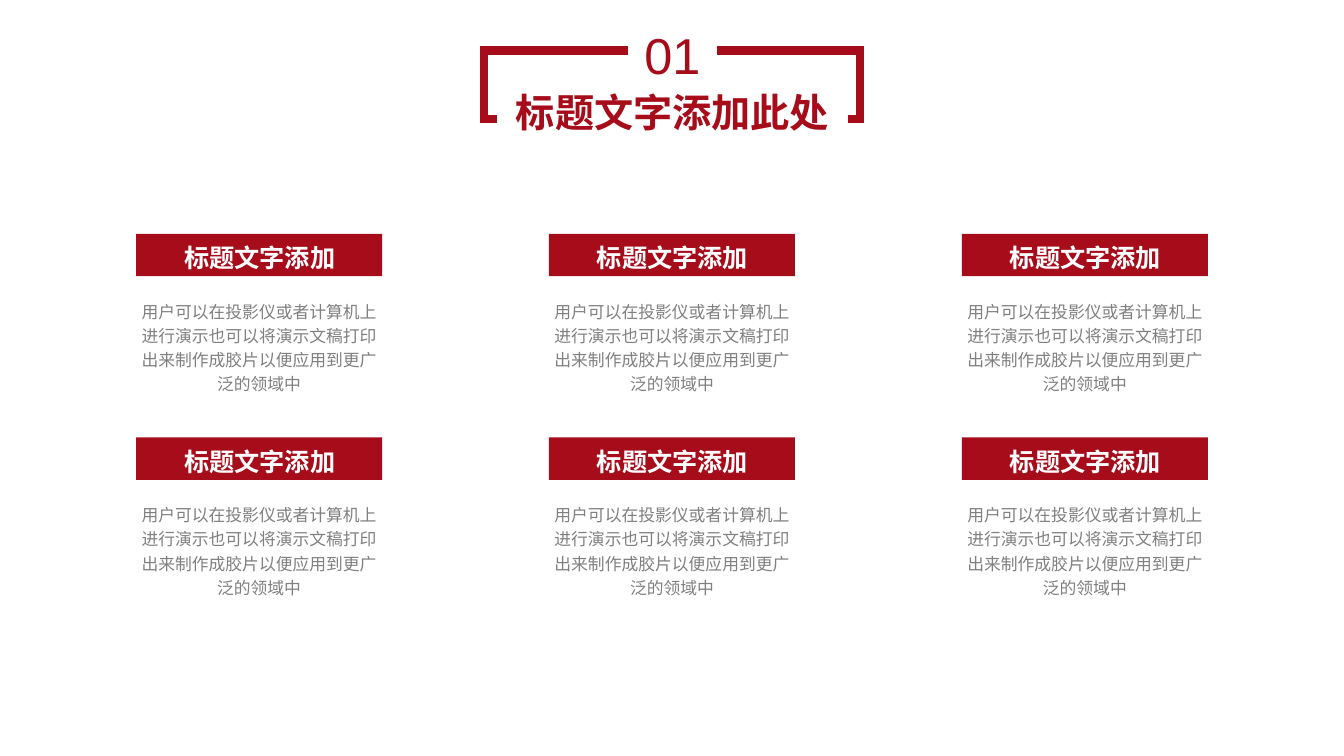
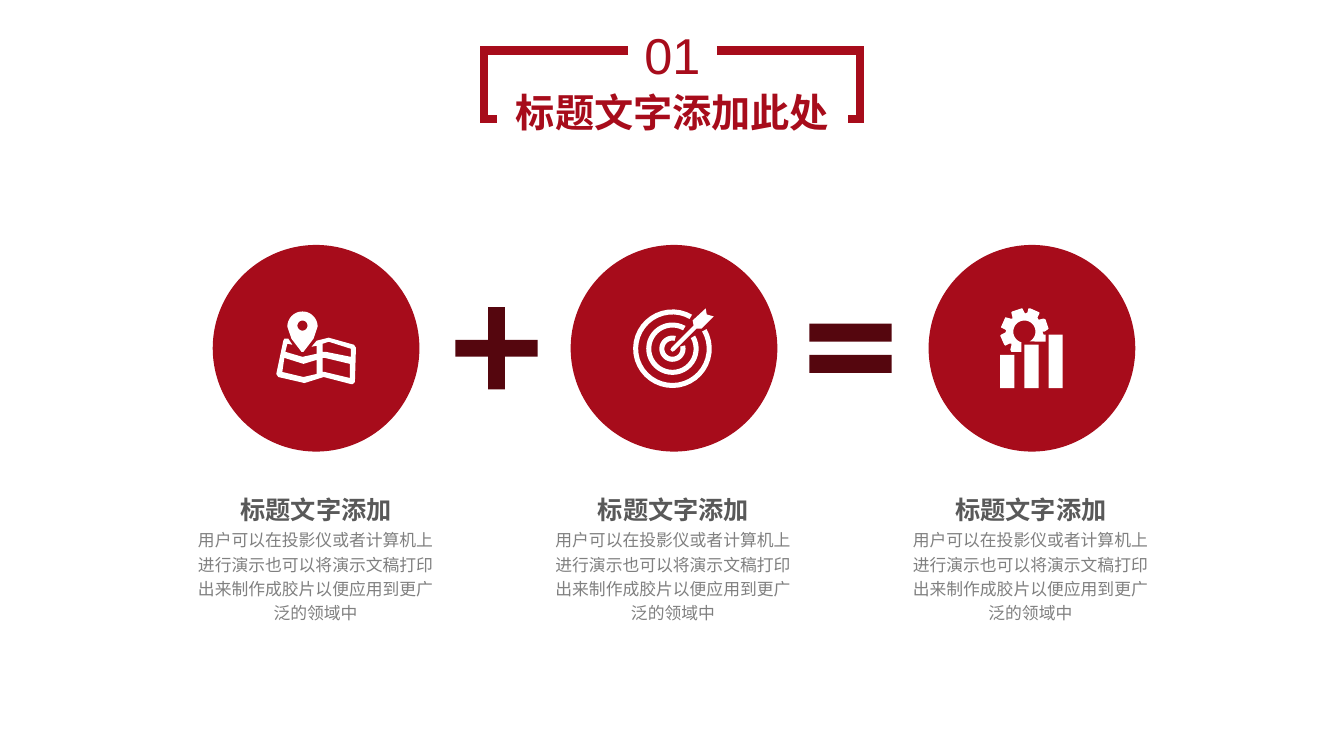
from dataclasses import dataclass
from math import cos, radians, sin

from lxml.etree import SubElement
from pptx import Presentation
from pptx.dml.color import RGBColor
from pptx.enum.shapes import MSO_SHAPE as Shape
from pptx.enum.text import MSO_ANCHOR as Anchor, MSO_AUTO_SIZE as AutoSize, PP_ALIGN as Align
from pptx.oxml.ns import qn
from pptx.util import Emu, Pt

EMU_PER_PX = 9144  # 100 px to the inch
WIDTH, HEIGHT = 1333, 750


@dataclass(frozen=True)
class Theme:
    red: str = "A70C1B"
    dark_red: str = "55060E"
    white: str = "FFFFFF"
    heading_gray: str = "595959"
    body_gray: str = "808080"
    latin: str = "Arial"
    cjk: str = "Noto Sans CJK SC"
    number_size: int = 36
    title_size: int = 28
    heading_size: int = 18
    body_size: int = 12
    frame_width: int = 6


THEME = Theme()
NUMBER = "01"
TITLE = "标题文字添加此处"
HEADING = "标题文字添加"
BODY = "用户可以在投影仪或者计算机上进行演示也可以将演示文稿打印出来制作成胶片以便应用到更广泛的领域中"


def px(length):
    return Emu(round(length * EMU_PER_PX))


def spread(first, last, count=3):
    """Equally spaced positions from first to last."""
    return [first + (last - first) * i / (count - 1) for i in range(count)]


def paint(shape, color):
    shape.shadow.inherit = False
    shape.fill.solid()
    shape.fill.fore_color.rgb = RGBColor.from_string(color)
    shape.line.fill.background()


def add_figure(page, preset, left, top, width, height, color):
    figure = page.shapes.add_shape(preset, px(left), px(top), px(width), px(height))
    paint(figure, color)
    return figure


def write(box, text, *, size, color, font=THEME.cjk, bold=False, spacing=1.0,
          anchor=Anchor.TOP, auto_size=AutoSize.SHAPE_TO_FIT_TEXT):
    frame = box.text_frame
    frame.word_wrap = True
    frame.auto_size = auto_size
    frame.vertical_anchor = anchor
    para = frame.paragraphs[0]
    para.alignment = Align.CENTER
    para.line_spacing = spacing
    span = para.add_run()
    span.text = text
    span.font.size = Pt(size)
    span.font.bold = bold
    span.font.color.rgb = RGBColor.from_string(color)
    span.font.name = font
    SubElement(span.font._element, qn("a:ea")).set("typeface", THEME.cjk)


def add_text(page, text, left, top, width, height, **style):
    box = page.shapes.add_textbox(px(left), px(top), px(width), px(height))
    write(box, text, **style)


def add_caption(page, left, heading_top, body_top, heading_color):
    add_text(page, BODY, left - 12, body_top, 268, 105,
             size=THEME.body_size, color=THEME.body_gray, spacing=1.2)
    add_text(page, HEADING, left, heading_top, 245, 43,
             size=THEME.heading_size, color=heading_color, bold=True, spacing=1.2)


def add_outline(page, contours, close=True):
    builder = None
    for contour in contours:
        start, *rest = [(px(x), px(y)) for x, y in contour]
        if builder is None:
            builder = page.shapes.build_freeform(*start)
        else:
            builder.move_to(*start)
        builder.add_line_segments(rest, close=close)
    return builder.convert_to_shape()


def add_title_frame(page):
    """Draw two brackets that leave room for the number and the title."""
    left, top, right, bottom = 480, 50, 853, 118
    brackets = [[(gap_top, top), (side, top), (side, bottom), (gap_bottom, bottom)]
                for gap_top, side, gap_bottom in ((623, left, 493), (711, right, 841))]
    frame = add_outline(page, brackets, close=False)
    frame.shadow.inherit = False
    frame.fill.background()
    frame.line.color.rgb = RGBColor.from_string(THEME.red)
    frame.line.width = Pt(THEME.frame_width)
    line = frame.element.spPr.find(qn("a:ln"))
    SubElement(line, qn("a:miter")).set("lim", "800000")


def add_titled_page(deck):
    """Add a page with the numbered, framed title."""
    page = deck.slides.add_slide(deck.slide_layouts[5])
    title = page.shapes.title
    title.left, title.top, title.width, title.height = map(px, (493, 82, 348, 57))
    write(title, TITLE, size=THEME.title_size, color=THEME.red, font=THEME.latin,
          bold=True, anchor=Anchor.MIDDLE, auto_size=AutoSize.NONE)
    add_title_frame(page)
    add_text(page, NUMBER, 623, 18, 88, 71, size=THEME.number_size, color=THEME.red,
             font=THEME.latin, anchor=Anchor.MIDDLE)
    return page


def arc(center_x, center_y, radius, start, end, steps=36):
    """Points on a circle; angles in degrees, clockwise from the right."""
    angles = [radians(start + (end - start) * i / steps) for i in range(steps + 1)]
    return [(center_x + radius * cos(a), center_y + radius * sin(a)) for a in angles]


def open_ring(center_x, center_y, outer, inner, start, end):
    return (arc(center_x, center_y, outer, start, end)
            + arc(center_x, center_y, inner, end, start))


def bar(left, top, width, bottom):
    return [(left, top), (left + width, top), (left + width, bottom), (left, bottom)]


def map_icon():
    sheet = [(326, 335), (351, 342), (353, 345), (352, 379), (350, 381), (348, 381),
             (321, 374), (302, 380), (276, 374), (274, 371), (281, 338), (282, 336),
             (286, 336), (290, 342), (285, 341), (283, 349), (300, 354), (314, 351),
             (314, 343), (309, 344), (314, 338)]
    left_panel = [(282, 355), (280, 369), (301, 374), (314, 371), (314, 357), (301, 361)]
    right_panel = [(322, 355), (320, 355), (320, 369), (322, 369), (347, 375), (347, 361)]
    top_panel = [(326, 339), (320, 341), (320, 349), (323, 349), (348, 354), (348, 346)]
    pin = arc(300, 324, 15, 180, 360) + [(311, 336), (301, 349), (299, 349), (289, 336)]
    return [left_panel, right_panel, top_panel, sheet, arc(300, 323, 5, 360, 0), pin]


def target_icon():
    center = (667, 346)
    arrow = [(700, 306), (701, 312), (708, 314), (696, 326), (691, 326), (669, 348),
             (667, 349), (665, 347), (666, 345), (688, 323), (687, 318)]
    return [open_ring(*center, 13, 8, -15, 285),
            open_ring(*center, 26, 21, -30, 300),
            open_ring(*center, 39, 34, -30, 300),
            arrow]


def growth_icon():
    right_teeth = [(1013, 306), (1014, 306), (1016, 310), (1017, 311), (1019, 310),
                   (1020, 306), (1022, 306), (1031, 310), (1031, 311), (1029, 315),
                   (1030, 317), (1031, 317), (1035, 316), (1037, 317), (1040, 326),
                   (1039, 327), (1036, 329), (1034, 329), (1035, 332), (1037, 332),
                   (1037, 339)]
    left_teeth = [(1013, 349), (1003, 349), (1002, 347), (1003, 343), (1003, 341),
                  (1001, 341), (997, 343), (996, 342), (992, 333), (993, 332),
                  (997, 330), (998, 328), (997, 327), (993, 325), (993, 324),
                  (997, 315), (998, 315), (1002, 316), (1004, 316), (1004, 314),
                  (1003, 310), (1004, 309)]
    gear = right_teeth + arc(1016, 329, 11, 62, -254) + left_teeth
    bars = [bar(992 + 24 * i, 352 - 10 * i, 14, 385) for i in range(3)]
    return [*bars, gear]


def build_grid_page(deck):
    page = add_titled_page(deck)
    for top in (232, 434):
        for left in spread(135, 954):
            add_figure(page, Shape.RECTANGLE, left, top, 244, 42, THEME.red)
            add_caption(page, left, top - 2, top + 58, THEME.white)


def build_equation_page(deck):
    page = add_titled_page(deck)
    icons = (map_icon(), target_icon(), growth_icon())
    for circle_left, text_left, icon in zip(spread(211, 921), spread(191, 900), icons):
        add_figure(page, Shape.OVAL, circle_left, 243, 205, 205, THEME.red)
        paint(add_outline(page, icon), THEME.white)
        add_caption(page, text_left, 479, 517, THEME.heading_gray)
    plus = add_figure(page, Shape.MATH_PLUS, 437, 290, 111, 111, THEME.dark_red)
    plus.adjustments[0] = 0.15
    equal = add_figure(page, Shape.MATH_EQUAL, 788, 290, 111, 111, THEME.dark_red)
    equal.adjustments[0], equal.adjustments[1] = 0.16, 0.12


def main():
    deck = Presentation()
    deck.slide_width, deck.slide_height = px(WIDTH), px(HEIGHT)
    build_grid_page(deck)
    build_equation_page(deck)
    deck.save("out.pptx")


if __name__ == "__main__":
    main()
